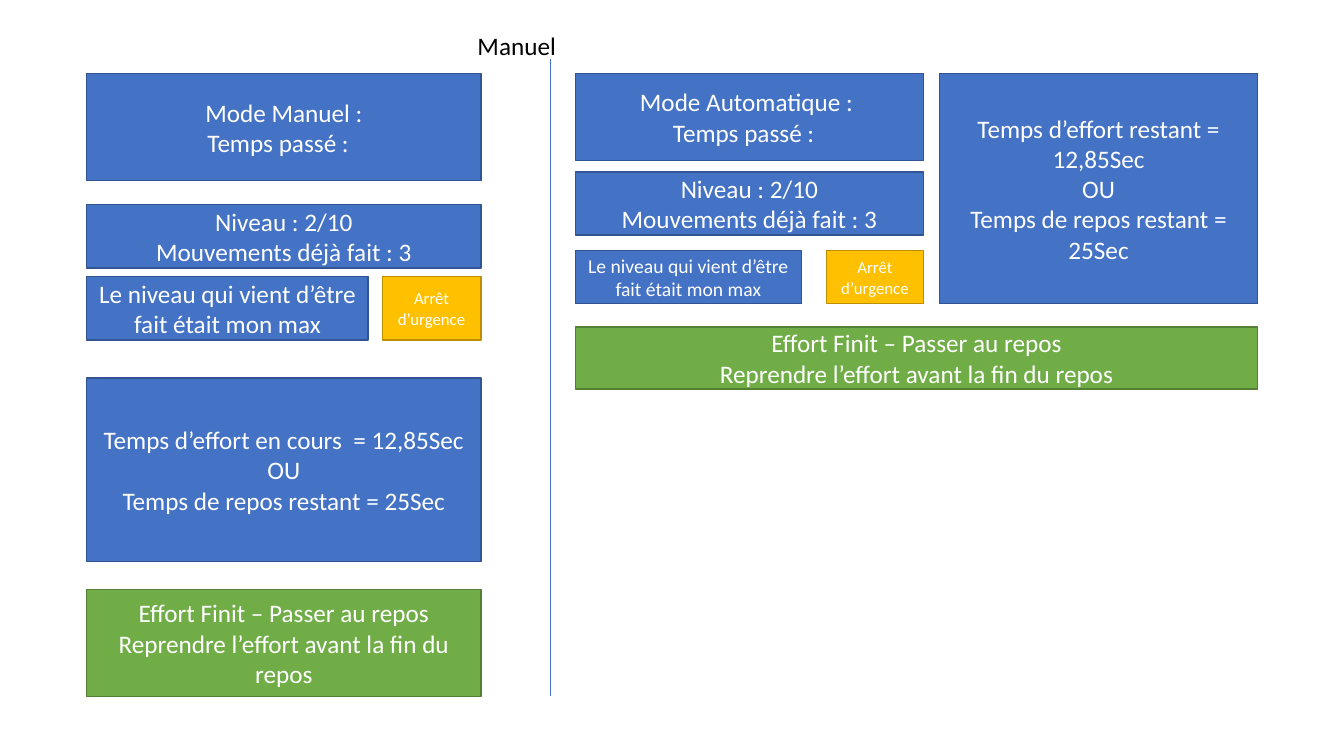
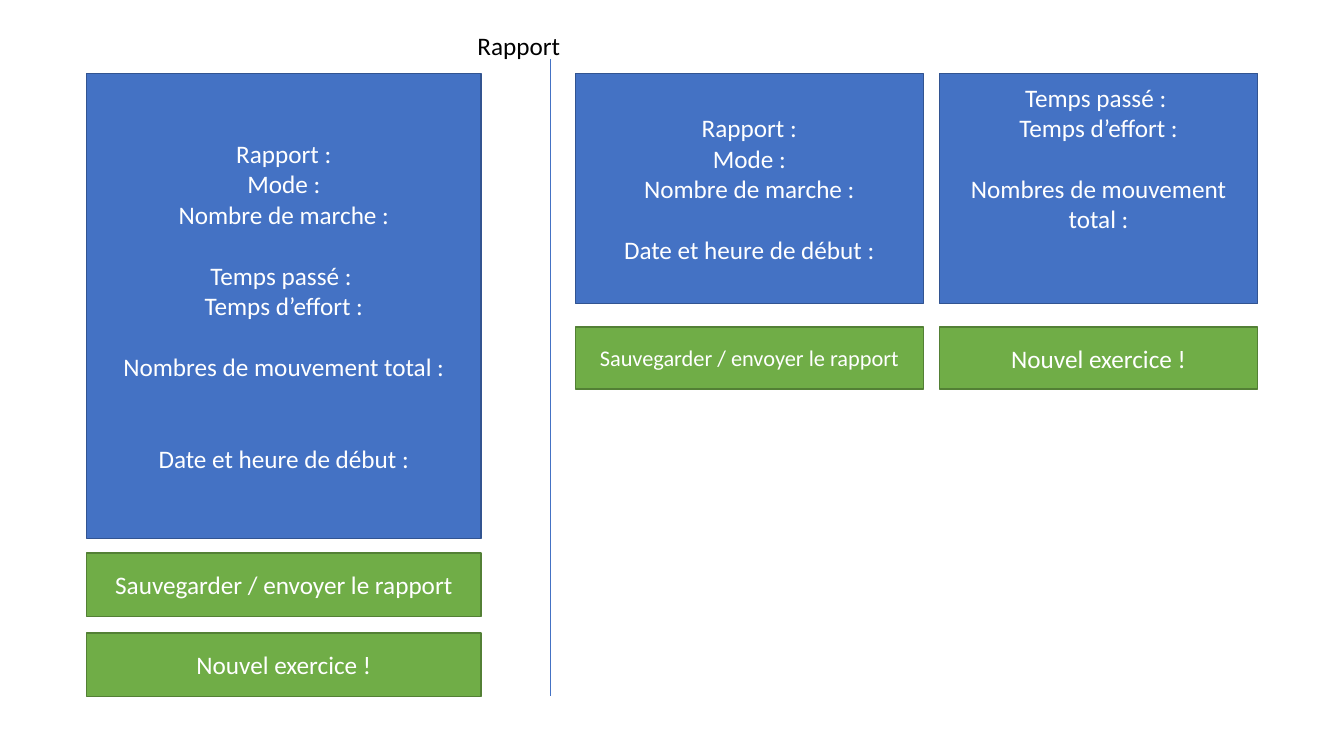
from dataclasses import dataclass
from typing import NamedTuple

from pptx import Presentation
from pptx.dml.color import RGBColor
from pptx.enum.shapes import MSO_CONNECTOR, MSO_SHAPE
from pptx.enum.text import MSO_ANCHOR, MSO_AUTO_SIZE, PP_ALIGN
from pptx.oxml import parse_xml
from pptx.oxml.ns import nsdecls
from pptx.util import Pt

FONT = "Calibri"
BODY_SIZE = 18
WHITE, BLACK = "FFFFFF", "000000"
DIVIDER_COLOUR = "4472C4"
LINE_HEIGHT = 22
INSET = 3.6
TOP, BOTTOM = 52.5, 497.5


class Style(NamedTuple):
    """Fill and outline colours of a box."""
    fill: str
    line: str


class Column(NamedTuple):
    """Horizontal extent of a box."""
    left: float
    width: float


class Row(NamedTuple):
    """Vertical extent of a box."""
    top: float
    height: float


class Line(NamedTuple):
    """One paragraph, with the number of lines left free above it."""
    text: str
    gap: int = 0


@dataclass(frozen=True)
class Box:
    """A filled rectangle with centred text."""
    column: Column
    row: Row
    style: Style
    lines: tuple[Line, ...]
    size: float = BODY_SIZE
    free_below: int = 0


@dataclass(frozen=True)
class Screen:
    """One slide: its title, the title's width and its boxes."""
    title: str
    title_width: float
    boxes: tuple[Box, ...]


INFO = Style("4472C4", "325491")
ACTION = Style("70AD47", "538035")
URGENT = Style("FFC000", "BD8E00")

PHONE = Column(62, 281.5)
PHONE_MAX = Column(62, 201)
PHONE_STOP = Column(273, 70.5)
WIDE_FIRST = Column(411, 248.5)
WIDE_SECOND = Column(671, 227.5)
WIDE_BOTH = Column(411, 487.5)
WIDE_MAX = Column(411, 161.5)
WIDE_STOP = Column(590.5, 69)

BAR = 45.5
PHONE_MAX_ROW = Row(197.5, BAR)
WIDE_PANEL = Row(TOP, 164.5)
WIDE_MAX_ROW = Row(179, 38)
WIDE_ACTION = Row(233.5, 44.5)

PASSED = Line("Temps passé :  ")
LEVEL = (Line("Niveau : 2/10"), Line("Mouvements déjà fait : 3"))
REST = (Line("OU"), Line("Temps de repos restant = 25Sec"))
MAXIMUM = (Line("Le niveau qui vient d’être fait était mon max"),)
STOP = (Line("Arrêt d’urgence"),)
FINISHED = (Line("Effort Finit – Passer au repos"),
            Line("Reprendre l’effort avant la fin du repos"))
HEADING = (Line("Rapport :"), Line("Mode :"), Line("Nombre de marche :"))
EFFORT = Line("Temps d’effort :")
TOTAL = Line("Nombres de mouvement total :", 1)
START = "Date et heure de début :"
SAVE = (Line("Sauvegarder / envoyer le rapport"),)
RESTART = (Line("Nouvel exercice !"),)

SCREENS = (
    Screen("Manuel", 72, (
        Box(PHONE, Row(TOP, 76.5), INFO, (Line("Mode Manuel :"), PASSED)),
        Box(PHONE, Row(146, BAR), INFO, LEVEL),
        Box(PHONE_MAX, PHONE_MAX_ROW, INFO, MAXIMUM),
        Box(PHONE_STOP, PHONE_MAX_ROW, URGENT, STOP, 12),
        Box(PHONE, Row(270, 131), INFO,
            (Line("Temps d’effort en cours  = 12,85Sec"), *REST)),
        Box(PHONE, Row(BOTTOM - 76.5, 76.5), ACTION, FINISHED),
        Box(WIDE_FIRST, Row(TOP, 62), INFO,
            (Line("Mode Automatique : "), PASSED)),
        Box(WIDE_FIRST, Row(123, 45), INFO, LEVEL),
        Box(WIDE_MAX, WIDE_MAX_ROW, INFO, MAXIMUM, 14),
        Box(WIDE_STOP, WIDE_MAX_ROW, URGENT, STOP, 12),
        Box(WIDE_SECOND, WIDE_PANEL, INFO,
            (Line("Temps d’effort restant = 12,85Sec"), *REST)),
        Box(WIDE_BOTH, WIDE_ACTION, ACTION, FINISHED),
    )),
    Screen("Rapport", 75, (
        Box(PHONE, Row(TOP, 332), INFO,
            (*HEADING, Line("Temps passé : ", 1), EFFORT, TOTAL,
             Line(START, 2))),
        Box(PHONE, Row(395, BAR), ACTION, SAVE),
        Box(PHONE, Row(BOTTOM - BAR, BAR), ACTION, RESTART),
        Box(WIDE_FIRST, WIDE_PANEL, INFO, (*HEADING, Line(START, 1))),
        Box(WIDE_SECOND, WIDE_PANEL, INFO,
            (Line("Temps passé : "), EFFORT, TOTAL), free_below=2),
        Box(WIDE_FIRST, WIDE_ACTION, ACTION, SAVE, 16),
        Box(WIDE_SECOND, WIDE_ACTION, ACTION, RESTART),
    )),
)


def colour(value: str) -> RGBColor:
    """Turn a hex string into a colour."""
    return RGBColor.from_string(value)


def add_span(para, text: str, size: float, shade: str) -> None:
    """Add one run of text to a paragraph."""
    span = para.add_run()
    span.text = text
    span.font.name = FONT
    span.font.size = Pt(size)
    span.font.color.rgb = colour(shade)


def draw_box(page, box: Box) -> None:
    """Draw a rectangle and its centred lines."""
    shape = page.shapes.add_shape(
        MSO_SHAPE.RECTANGLE, Pt(box.column.left), Pt(box.row.top),
        Pt(box.column.width), Pt(box.row.height))
    shape.shadow.inherit = False
    shape.fill.solid()
    shape.fill.fore_color.rgb = colour(box.style.fill)
    shape.line.color.rgb = colour(box.style.line)
    shape.line.width = Pt(1)
    frame = shape.text_frame
    frame.word_wrap = True
    frame.vertical_anchor = MSO_ANCHOR.MIDDLE
    frame.margin_bottom = Pt(INSET + box.free_below * LINE_HEIGHT)
    for index, line in enumerate(box.lines):
        para = frame.add_paragraph() if index else frame.paragraphs[0]
        para.alignment = PP_ALIGN.CENTER
        para.space_before = Pt(line.gap * LINE_HEIGHT)
        add_span(para, line.text, box.size, WHITE)


def draw_title(page, title: str, width: float) -> None:
    """Write the screen name on one line above the divider."""
    label = page.shapes.add_textbox(Pt(334), Pt(18), Pt(width), Pt(29))
    frame = label.text_frame
    frame.word_wrap = False
    frame.auto_size = MSO_AUTO_SIZE.SHAPE_TO_FIT_TEXT
    add_span(frame.paragraphs[0], title, BODY_SIZE, BLACK)


def draw_divider(page) -> None:
    """Draw the vertical line between the two layouts."""
    divider = page.shapes.add_connector(
        MSO_CONNECTOR.STRAIGHT, Pt(393), Pt(42.5), Pt(393), Pt(BOTTOM))
    divider.line.color.rgb = colour(DIVIDER_COLOUR)
    divider.line.width = Pt(0.5)
    divider._element.spPr.append(parse_xml(f"<a:effectLst {nsdecls('a')}/>"))


def draw_screen(deck, screen: Screen) -> None:
    """Add one slide with its divider, boxes and title."""
    page = deck.slides.add_slide(deck.slide_layouts[6])
    draw_divider(page)
    for box in screen.boxes:
        draw_box(page, box)
    draw_title(page, screen.title, screen.title_width)


def main() -> None:
    """Build and save the deck."""
    deck = Presentation()
    deck.slide_width, deck.slide_height = Pt(960), Pt(540)
    for screen in SCREENS:
        draw_screen(deck, screen)
    deck.save("out.pptx")


main()
